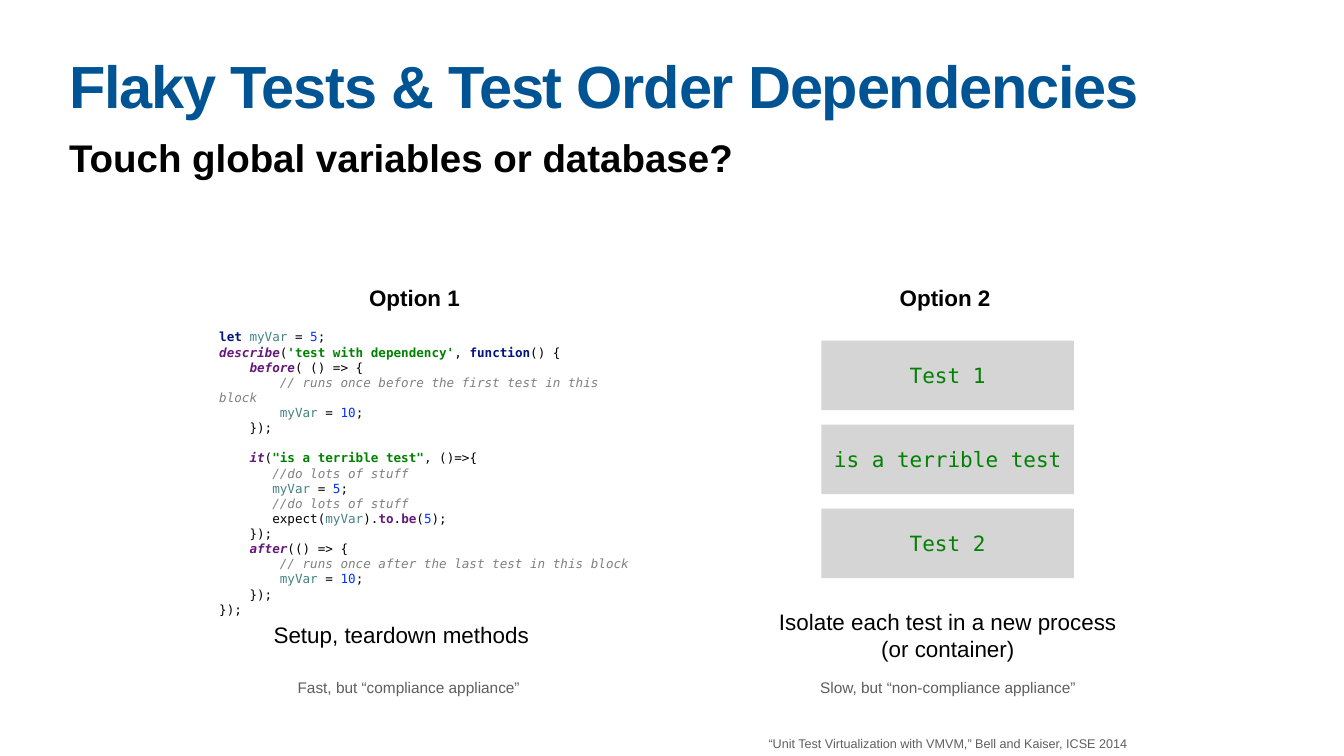
import pptx
from pptx.dml.color import RGBColor
from pptx.enum.shapes import MSO_SHAPE
from pptx.enum.text import MSO_ANCHOR, MSO_AUTO_SIZE, PP_ALIGN
from pptx.util import Inches, Pt

SANS = "Arial"
MONO = "DejaVu Sans Mono"
BLACK = RGBColor(0x00, 0x00, 0x00)
BLUE = RGBColor(0x00, 0x54, 0x93)
GRAY = RGBColor(0x5E, 0x5E, 0x5E)
LIGHT_GRAY = RGBColor(0xD5, 0xD5, 0xD5)
GREEN = RGBColor(0x01, 0x80, 0x01)
NAVY = RGBColor(0x01, 0x14, 0x80)
TEAL = RGBColor(0x45, 0x83, 0x83)
NUMBER_BLUE = RGBColor(0x04, 0x32, 0xFF)
PURPLE = RGBColor(0x66, 0x18, 0x7A)
COMMENT_GRAY = RGBColor(0x80, 0x80, 0x80)

# Syntax style: colour, bold, italic
SYNTAX = {
    "plain": (BLACK, False, False),
    "keyword": (NAVY, True, False),
    "variable": (TEAL, False, False),
    "number": (NUMBER_BLUE, False, False),
    "call": (PURPLE, True, True),
    "member": (PURPLE, True, False),
    "string": (GREEN, True, False),
    "comment": (COMMENT_GRAY, False, True),
}


def assignment(prefix, value, prefix_style="plain"):
    return [(prefix, prefix_style), ("myVar ", "variable"), ("= ", "plain"),
            (value, "number"), (";", "plain")]


def comment(indent, text):
    return [(indent, "plain"), (text, "comment")]


BODY = " " * 8
TEST_BODY = " " * 7
CLOSE = [("    });", "plain")]
CODE = [
    assignment("let ", "5", "keyword"),
    [("describe", "call"), ("(", "plain"), ("'test with dependency'", "string"),
     (", ", "plain"), ("function", "keyword"), ("() {", "plain")],
    [("    ", "plain"), ("before", "call"), ("( () => {", "plain")],
    comment(BODY, "// runs once before the first test in this block"),
    assignment(BODY, "10"),
    CLOSE,
    [],
    [("    ", "plain"), ("it", "call"), ("(", "plain"),
     ('"is a terrible test"', "string"), (", ()=>{", "plain")],
    comment(TEST_BODY, "//do lots of stuff"),
    assignment(TEST_BODY, "5"),
    comment(TEST_BODY, "//do lots of stuff"),
    [(TEST_BODY + "expect(", "plain"), ("myVar", "variable"), (").", "plain"),
     ("to", "member"), (".", "plain"), ("be", "member"), ("(", "plain"),
     ("5", "number"), (");", "plain")],
    CLOSE,
    [("    ", "plain"), ("after", "call"), ("(() => {", "plain")],
    comment(BODY, "// runs once after the last test in this block"),
    assignment(BODY, "10"),
    CLOSE,
    [("});", "plain")],
]

TITLE = "Flaky Tests & Test Order Dependencies"
SUBTITLE = "Touch global variables or database?"
TESTS = ["Test 1", "is a terrible test", "Test 2"]

# Text, (left, top, width, height), size, colour, bold
LABELS = [
    ("Option 1", (7.28, 5.59, 1.89, 0.61), 32, BLACK, True),
    ("Option 2", (17.81, 5.59, 1.89, 0.61), 32, BLACK, True),
    ("Setup, teardown methods", (5.34, 12.3, 5.25, 0.6), 32, BLACK, False),
    ("Isolate each test in a new process\v(or container)",
     (15.39, 12.04, 6.84, 1.13), 32, BLACK, False),
    ("Fast, but “compliance appliance”", (5.79, 13.41, 4.64, 0.45), 22, GRAY, False),
    ("Slow, but “non-compliance appliance”", (16.14, 13.41, 5.34, 0.45), 22, GRAY, False),
    ("“Unit Test Virtualization with VMVM,” Bell and Kaiser, ICSE 2014",
     (15.19, 14.57, 7.24, 0.38), 18, GRAY, False),
]


def set_frame(text_frame, margin, anchor, wrap=True):
    text_frame.margin_left = text_frame.margin_right = Inches(margin)
    text_frame.margin_top = text_frame.margin_bottom = Inches(margin)
    text_frame.vertical_anchor = anchor
    text_frame.word_wrap = wrap
    text_frame.auto_size = MSO_AUTO_SIZE.NONE


def set_text(text_frame, text, size, color, bold=False, name=SANS, align=PP_ALIGN.CENTER):
    text_frame.text = text
    paragraph = text_frame.paragraphs[0]
    paragraph.alignment = align
    for run in paragraph.runs:
        set_font(run.font, size, name, color, bold)


def set_font(font, size, name, color, bold=False, italic=False):
    font.size = Pt(size)
    font.name = name
    font.color.rgb = color
    font.bold = bold
    font.italic = italic


def add_box(slide, place):
    return slide.shapes.add_textbox(*map(Inches, place)).text_frame


def add_headings(slide):
    title = slide.shapes.title
    title.left, title.top, title.width, title.height = map(Inches, (1.32, 1.18, 24.03, 1.57))
    set_frame(title.text_frame, 0.06, MSO_ANCHOR.TOP)
    set_text(title.text_frame, TITLE, 85, BLUE, True, align=PP_ALIGN.LEFT)
    paragraph = title.text_frame.paragraphs[0]
    paragraph.line_spacing = 0.8
    paragraph.runs[0].font._element.set("spc", "-170")

    subtitle = add_box(slide, (1.32, 2.6, 24.03, 1.02))
    set_frame(subtitle, 0.05, MSO_ANCHOR.TOP)
    set_text(subtitle, SUBTITLE, 55, BLACK, True, align=PP_ALIGN.LEFT)


def add_code(slide):
    text_frame = add_box(slide, (4.31, 6.44, 8.48, 5.89))
    set_frame(text_frame, 0.04, MSO_ANCHOR.MIDDLE)
    for index, line in enumerate(CODE):
        paragraph = text_frame.add_paragraph() if index else text_frame.paragraphs[0]
        set_font(paragraph.font, 18, MONO, BLACK)
        for text, style in line:
            run = paragraph.add_run()
            run.text = text
            color, bold, italic = SYNTAX[style]
            set_font(run.font, 18, MONO, color, bold, italic)
        if not line:
            paragraph._p.get_or_add_endParaRPr().set("sz", "1800")


def add_tests(slide):
    left, top, width, height, pitch = 16.3, 6.76, 5.01, 1.38, 1.665
    for index, name in enumerate(TESTS):
        place = (left, top + index * pitch, width, height)
        shape = slide.shapes.add_shape(MSO_SHAPE.RECTANGLE, *map(Inches, place))
        shape.shadow.inherit = False
        shape.fill.solid()
        shape.fill.fore_color.rgb = LIGHT_GRAY
        shape.line.fill.background()
        set_frame(shape.text_frame, 0.04, MSO_ANCHOR.MIDDLE)
        set_text(shape.text_frame, name, 30, GREEN, name=MONO)


def main():
    presentation = pptx.Presentation()
    presentation.slide_width = Inches(26.67)
    presentation.slide_height = Inches(15)
    slide = presentation.slides.add_slide(presentation.slide_layouts[5])
    add_headings(slide)
    add_code(slide)
    add_tests(slide)
    for text, place, size, color, bold in LABELS:
        text_frame = add_box(slide, place)
        set_frame(text_frame, 0.04, MSO_ANCHOR.MIDDLE, wrap=False)
        set_text(text_frame, text, size, color, bold)
    presentation.save("out.pptx")


if __name__ == "__main__":
    main()
